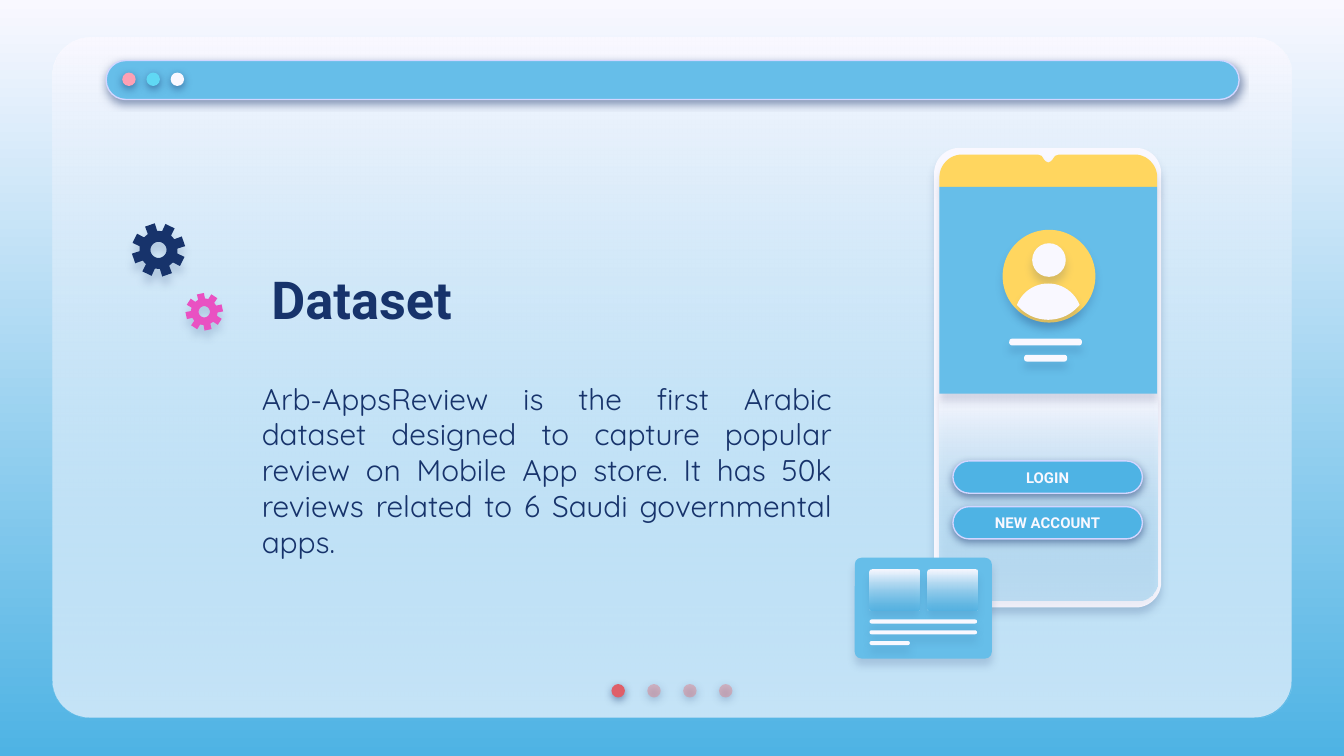
from math import cos, radians, sin

from lxml.etree import SubElement
from pptx import Presentation
from pptx.dml.color import RGBColor
from pptx.enum.shapes import MSO_SHAPE as SHAPE
from pptx.enum.text import MSO_ANCHOR, MSO_AUTO_SIZE, PP_ALIGN
from pptx.oxml.ns import qn
from pptx.util import Inches, Pt

TITLE = "Dataset"
BODY = ("Arb-AppsReview is the first Arabic dataset designed to capture popular "
        "review on Mobile App store. It has 50k reviews related to 6 Saudi "
        "governmental apps.")
BUTTONS = ["LOGIN", "NEW ACCOUNT"]
C = {"white": "F9F8FF", "sky": "66BEE9", "blue": "4EB3E4", "navy": "17336B",
     "yellow": "FFD65F", "magenta": "E951C2", "edge": "D2D6FF",
     "rose": "FDA0B4", "cyan": "60D8F4", "red": "DF5F69", "faded": "E27B83"}
WINDOW_DOTS = ["rose", "cyan", "white"]
PAGE_DOTS = [("red", 100)] + [("faded", 44)] * 3
GEARS = [(1.18, 1.86, 0.2, -109, "navy", 4.5),
         (1.52, 2.32, 0.14, -102, "magenta", 3.8)]
TOOTH = [(0.71, -15), (1, -11), (1, 11), (0.71, 15)]
NOTCH = [(0.08, 0), (0.05, 0.01), (0.03, 0.04), (0.02, 0.05), (0, 0.06)]
W, H = 10, 10 * 9 / 16
SOFT, CRISP = (16, 3.8), (50, 1.5)
PHONE_X, PHONE_W = 6.99, 1.62
MID = PHONE_X + PHONE_W / 2

prs = Presentation()
prs.slide_width, prs.slide_height = Inches(W), Inches(H)
s = prs.slides.add_slide(prs.slide_layouts[5])


def rgb(name):
    return RGBColor.from_string(C[name])


def set_alpha(parent, alpha):
    if alpha < 100:
        clr = parent.find(qn("a:srgbClr"))
        SubElement(clr, qn("a:alpha"), val=str(alpha * 1000))


def gradient(fill, top, bottom):
    fill.gradient()
    fill.gradient_angle = 270
    for stop, name in zip(fill.gradient_stops, (top, bottom)):
        stop.color.rgb = rgb(name)


def style(sp, color, alpha=100, shadow=None, fade=None, line=None):
    sp.shadow.inherit = False
    props = sp._element.spPr
    if fade:
        gradient(sp.fill, color, fade)
        set_alpha(props.findall(".//" + qn("a:gs"))[-1], alpha)
    else:
        sp.fill.solid()
        sp.fill.fore_color.rgb = rgb(color)
        set_alpha(props.find(qn("a:solidFill")), alpha)
    if line:
        sp.line.color.rgb = rgb(line)
        sp.line.width = Pt(0.75)
    else:
        sp.line.fill.background()
    if shadow:
        opacity, dist = shadow
        outer = SubElement(props.find(qn("a:effectLst")), qn("a:outerShdw"),
                           blurRad=str(Pt(4.5)), dist=str(Pt(dist)),
                           dir="5400000", algn="bl", rotWithShape="0")
        SubElement(outer, qn("a:srgbClr"), val=C["navy"])
        set_alpha(outer, opacity)
    return sp


def shape(kind, x, y, w, h, color, adj=(), **look):
    sp = s.shapes.add_shape(kind, Inches(x), Inches(y), Inches(w), Inches(h))
    for i, value in enumerate(adj):
        sp.adjustments[i] = value
    return style(sp, color, **look)


def rounded(x, y, w, h, color, radius, **look):
    return shape(SHAPE.ROUNDED_RECTANGLE, x, y, w, h, color, [radius / min(w, h)], **look)


def polar(cx, cy, r, angle):
    return cx + r * cos(radians(angle)), cy + r * sin(radians(angle))


def arc(cx, cy, r, start, end, steps=24):
    return [polar(cx, cy, r, start + (end - start) * i / steps) for i in range(steps + 1)]


def outline(contours, color, **look):
    first, *rest = [[(Inches(x), Inches(y)) for x, y in points] for points in contours]
    fb = s.shapes.build_freeform(*first[0])
    fb.add_line_segments(first[1:], close=True)
    for points in rest:
        fb.move_to(*points[0])
        fb.add_line_segments(points[1:], close=True)
    return style(fb.convert_to_shape(), color, **look)


def write(sp, text, size, font, color, bold=False, align=PP_ALIGN.LEFT):
    tf = sp.text_frame
    tf.text = text
    tf.word_wrap = True
    tf.auto_size = MSO_AUTO_SIZE.NONE
    tf.vertical_anchor = MSO_ANCHOR.MIDDLE
    tf.margin_left = tf.margin_right = tf.margin_top = tf.margin_bottom = Inches(0.1)
    p = tf.paragraphs[0]
    p.alignment = align
    f = p.runs[0].font
    f.size, f.name, f.bold = Pt(size), font, bold
    f.color.rgb = rgb(color)
    return p


def window():
    gradient(s.background.fill, "white", "blue")
    panel = (0.39, 0.28, W - 0.78, 5.06)
    rounded(*panel, "white", 0.28)
    rounded(*panel, "white", 0.28, fade="sky", alpha=35)
    for i, (color, alpha) in enumerate(PAGE_DOTS):
        shape(SHAPE.OVAL, 4.55 + i * 0.8 / 3, 5.09, 0.1, 0.1, color, alpha=alpha, shadow=CRISP)
    rounded(0.79, 0.45, 8.43, 0.29, "sky", 0.15, line="edge", shadow=CRISP)
    for i, color in enumerate(WINDOW_DOTS):
        shape(SHAPE.OVAL, 0.91 + i * 0.18, 0.54, 0.1, 0.1, color, shadow=CRISP)


def texts():
    title = s.shapes.title
    title.left, title.top, title.width, title.height = map(Inches, (1.92, 1.83, 3.07, 0.79))
    write(title, TITLE, 28, "Roboto", "navy", bold=True)
    s.shapes._spTree.append(title._element)
    box = s.shapes.add_textbox(*map(Inches, (1.85, 2.5, 4.44, 1.99)))
    p = write(box, BODY, 16, "Quicksand", "navy", align=PP_ALIGN.JUSTIFY)
    p.space_after = Pt(12)


def phone():
    rounded(6.95, 1.1, 1.69, 3.42, "white", 0.19, shadow=SOFT)
    shape(SHAPE.ROUND_2_SAME_RECTANGLE, PHONE_X, 2.93, PHONE_W, 1.54, "white",
          [0, 0.1], fade="sky", alpha=35, shadow=SOFT)
    left, right, top, bottom, r = PHONE_X, PHONE_X + PHONE_W, 1.15, 1.39, 0.17
    notch = [(MID - dx, top + dy) for dx, dy in NOTCH]
    notch += [(MID + dx, top + dy) for dx, dy in reversed(NOTCH[:-1])]
    outline([[(left, bottom), *arc(left + r, top + r, r, 180, 270), *notch,
              *arc(right - r, top + r, r, 270, 360), (right, bottom)]],
            "yellow", shadow=SOFT)
    shape(SHAPE.RECTANGLE, PHONE_X, bottom, PHONE_W, 1.54, "sky", shadow=SOFT)
    shape(SHAPE.OVAL, MID - 0.34, 1.71, 0.69, 0.69, "yellow", shadow=SOFT)
    shape(SHAPE.OVAL, MID - 0.12, 1.81, 0.25, 0.25, "white", shadow=SOFT)
    outline([arc(MID, 2.36, 0.25, 201, 339) + arc(MID, 2.08, 0.3, 40, 140)],
            "white", shadow=SOFT)
    for y, w in [(2.52, 0.54), (2.64, 0.32)]:
        rounded(MID - 0.02 - w / 2, y, w, 0.05, "white", 0.02, shadow=SOFT)
    for i, label in enumerate(BUTTONS):
        sp = rounded(7.09, 3.43 + i * 0.34, 1.41, 0.24, "blue", 0.12, line="edge", shadow=CRISP)
        write(sp, label, 8, "Roboto", "white", bold=True, align=PP_ALIGN.CENTER)


def gears():
    for cx, cy, r, start, color, dist in GEARS:
        teeth = [polar(cx, cy, r * share, start + k * 45 + turn)
                 for k in range(8) for share, turn in TOOTH]
        outline([teeth, arc(cx, cy, 0.3 * r, 360, 0)], color, shadow=(16, dist))


def card():
    rounded(6.36, 4.15, 1.02, 0.75, "sky", 0.05, shadow=SOFT)
    for i in range(2):
        rounded(6.47 + i * 0.43, 4.24, 0.37, 0.3, "white", 0.02,
                fade="blue", alpha=58, shadow=SOFT)
    for i, w in enumerate([0.8, 0.8, 0.3]):
        rounded(6.47, 4.61 + i * 0.08, w, 0.03, "white", 0.02, shadow=SOFT)


window()
texts()
phone()
gears()
card()
prs.save("out.pptx")
